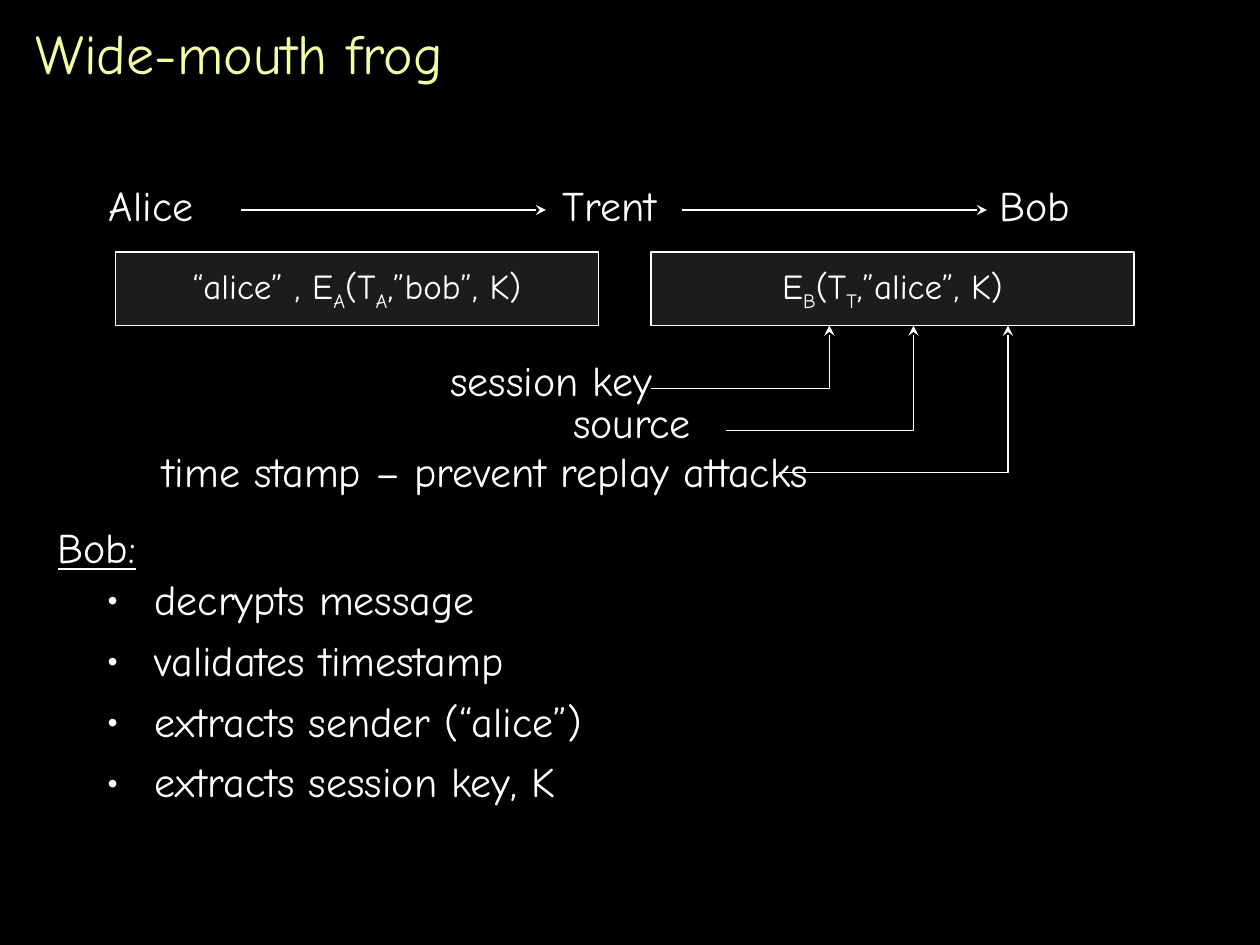
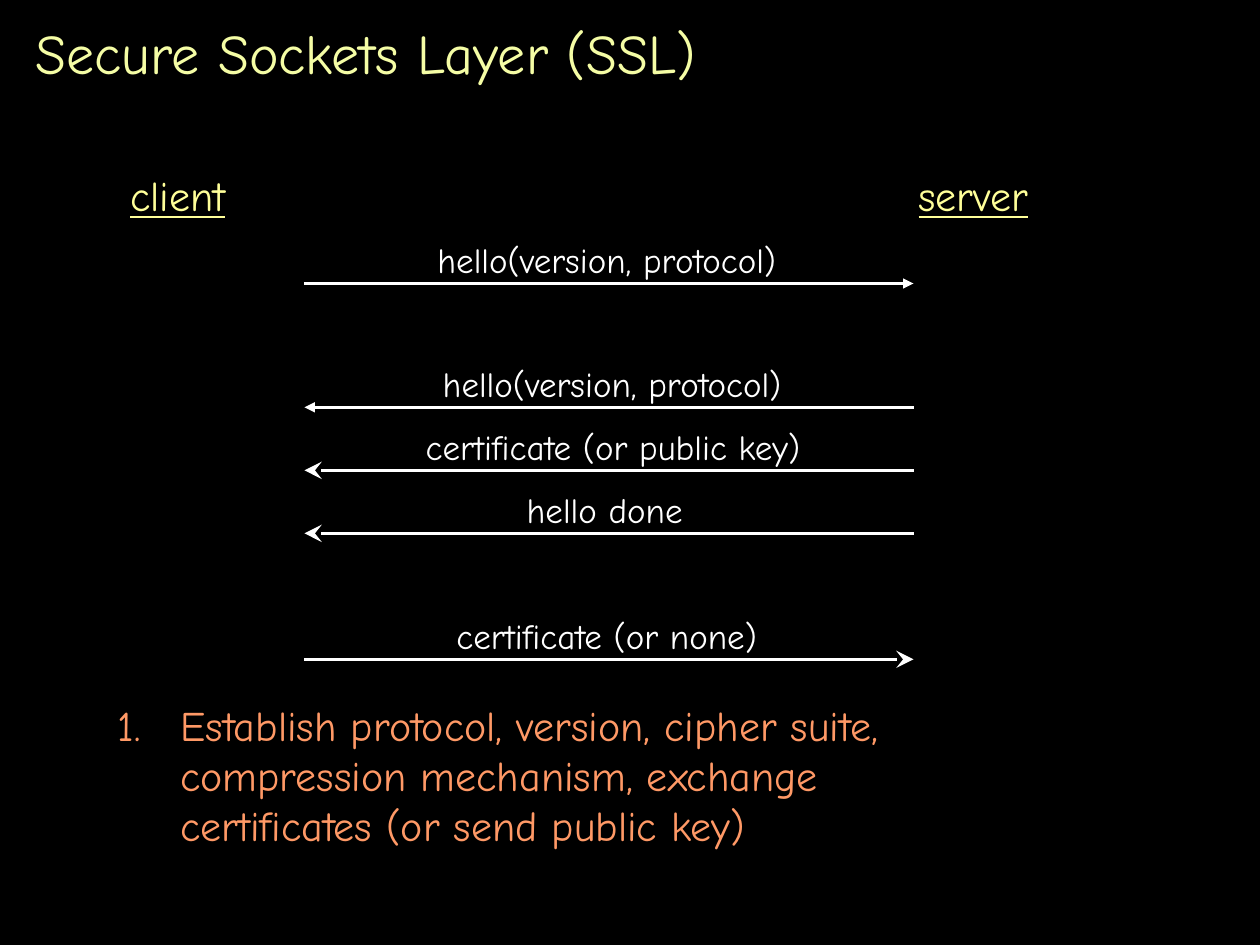
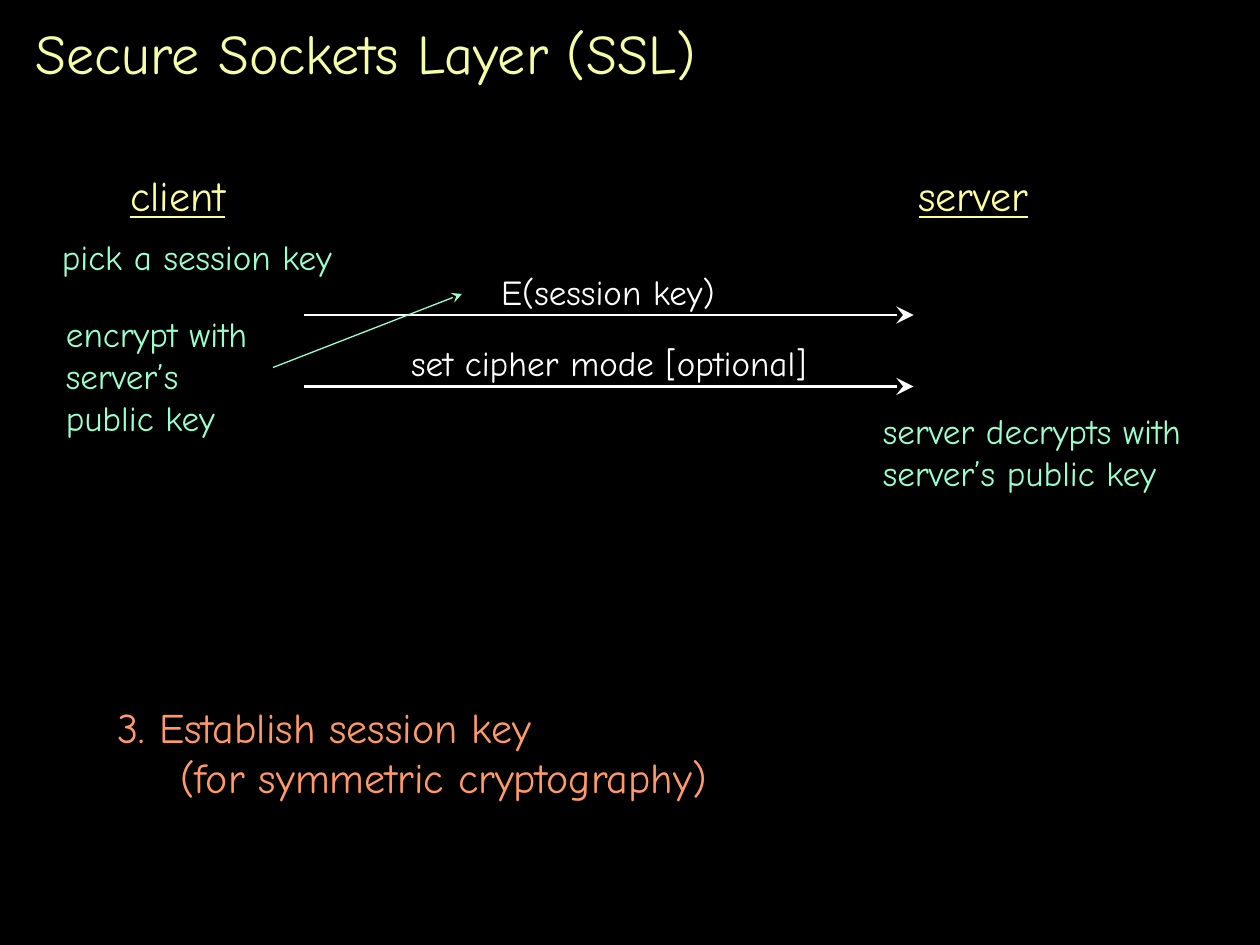
from lxml.etree import SubElement
from pptx import Presentation
from pptx.dml.color import RGBColor
from pptx.enum.shapes import MSO_CONNECTOR, MSO_SHAPE
from pptx.enum.text import MSO_ANCHOR, MSO_AUTO_SIZE, PP_ALIGN
from pptx.oxml.ns import qn
from pptx.util import Inches, Pt

# Shared style
COLORS = {
    "background": "000000",
    "title": "F5FDA5",
    "text": "FFFFFF",
    "role": "FFFF99",
    "stage": "FF9966",
    "note": "99FFCC",
    "packet": "1C1C1C",
}
FONT = "Comic Neue"
TITLE_SIZE, LARGE, SMALL = 32, 24, 20
LEFT, CENTER, RIGHT = PP_ALIGN.LEFT, PP_ALIGN.CENTER, PP_ALIGN.RIGHT

# Grid of 120 columns by 90 rows, 12 cells to the inch
CELL = Inches(1) / 12
CLIENT_EDGE, SERVER_EDGE = 29, 87


def cells(count):
    return round(count * CELL)


def rgb(name):
    return RGBColor.from_string(COLORS[name])


# Text
def add_styled_run(paragraph, text, size, color, underline=False, subscript=False):
    run = paragraph.add_run()
    run.text = text
    run.font.name = FONT
    run.font.size = Pt(size)
    run.font.color.rgb = rgb(color)
    if underline:
        run.font.underline = True
    if subscript:
        run.font._element.set("baseline", "-25000")


def write_lines(paragraph, text, size, color, underline=False):
    for index, line in enumerate(text.split("\n")):
        if index:
            paragraph.add_line_break()
        add_styled_run(paragraph, line, size, color, underline)


def set_indent(paragraph, left, first):
    properties = paragraph._p.get_or_add_pPr()
    properties.set("marL", str(Inches(left)))
    properties.set("indent", str(Inches(first)))
    return properties


def add_marker(paragraph, hang, color, tag, **attributes):
    properties = set_indent(paragraph, hang, -hang)
    marker_color = SubElement(properties, qn("a:buClr"))
    SubElement(marker_color, qn("a:srgbClr"), val=COLORS[color])
    SubElement(properties, qn("a:buFont"), typeface=FONT)
    SubElement(properties, qn(tag), **attributes)


def add_frame(shapes, col, row, width, height, wrap=False):
    frame = shapes.add_textbox(*map(cells, (col, row, width, height))).text_frame
    frame.word_wrap = wrap
    frame.auto_size = MSO_AUTO_SIZE.SHAPE_TO_FIT_TEXT
    return frame


def add_label(shapes, col, row, width, text, size=LARGE, color="text",
              align=LEFT, underline=False):
    line_count = text.count("\n") + 1
    height = 1.2 + line_count * size / 5
    paragraph = add_frame(shapes, col, row, width, height).paragraphs[0]
    paragraph.alignment = align
    write_lines(paragraph, text, size, color, underline)


# Lines and arrows
def style_arrow(shape, color, weight, head, head_size):
    shape.line.color.rgb = rgb(color)
    shape.line.width = Pt(weight)
    SubElement(shape.line._get_or_add_ln(), qn("a:tailEnd"),
               type=head, w=head_size, len=head_size)


def add_arrow(shapes, start, end, color="text", weight=1.5,
              head="stealth", head_size="med"):
    arrow = shapes.add_connector(MSO_CONNECTOR.STRAIGHT, *map(cells, start + end))
    style_arrow(arrow, color, weight, head, head_size)
    SubElement(arrow._element.spPr, qn("a:effectLst"))


def add_elbow(shapes, start_col, row, target_col, target_row):
    outline = shapes.build_freeform(cells(start_col), cells(row))
    corners = [(target_col, row), (target_col, target_row)]
    outline.add_line_segments([(cells(x), cells(y)) for x, y in corners], close=False)
    elbow = outline.convert_to_shape()
    elbow.shadow.inherit = False
    elbow.fill.background()
    style_arrow(elbow, "text", 0.75, "stealth", "med")


# Protocol parts
def add_packet(shapes, col, formula):
    """Text between underscores in the formula is set as a subscript."""
    packet = shapes.add_shape(MSO_SHAPE.RECTANGLE, *map(cells, (col, 24, 46, 7)))
    packet.shadow.inherit = False
    packet.fill.solid()
    packet.fill.fore_color.rgb = rgb("packet")
    packet.line.color.rgb = rgb("text")
    packet.line.width = Pt(0.75)
    frame = packet.text_frame
    frame.word_wrap = False
    frame.vertical_anchor = MSO_ANCHOR.MIDDLE
    paragraph = frame.paragraphs[0]
    paragraph.alignment = CENTER
    for index, part in enumerate(formula.split("_")):
        add_styled_run(paragraph, part, SMALL, "text", subscript=index % 2 == 1)


def add_message(slide, row, text, width, to_server=True, center=57.8,
                head="stealth", head_size="lg"):
    message = slide.shapes.add_group_shape().shapes
    ends = [(CLIENT_EDGE, row), (SERVER_EDGE, row)]
    start, end = ends if to_server else reversed(ends)
    add_arrow(message, start, end, head=head, head_size=head_size)
    add_label(message, center - width / 2, row - 4.85, width, text, SMALL, align=CENTER)


def add_titled_slide(prs, title):
    slide = prs.slides.add_slide(prs.slide_layouts[5])
    heading = slide.shapes.title
    heading.left, heading.top, heading.width, heading.height = map(
        cells, (2.2, 1, 116, 8))
    frame = heading.text_frame
    frame.auto_size = MSO_AUTO_SIZE.NONE
    frame.vertical_anchor = MSO_ANCHOR.MIDDLE
    frame.paragraphs[0].alignment = LEFT
    add_styled_run(frame.paragraphs[0], title, TITLE_SIZE, "title")
    return slide


def add_ssl_slide(prs):
    slide = add_titled_slide(prs, "Secure Sockets Layer (SSL)")
    for col, width, role in [(11.2, 11.9, "client"), (86.3, 13.1, "server")]:
        add_label(slide.shapes, col, 15.55, width, role, color="role", underline=True)
    return slide


# Slides
def build_wide_mouth_frog(prs):
    shapes = add_titled_slide(prs, "Wide-mouth frog").shapes

    # Parties and the packets between them
    for col, width, party in [(9.2, 10.6, "Alice"), (52.4, 11.8, "Trent"),
                              (94, 9.3, "Bob")]:
        add_label(shapes, col, 16.55, width, party)
    for col in (23, 65):
        add_arrow(shapes, (col, 20), (col + 29, 20))
    add_packet(shapes, 11, "“alice” , E_A_(T_A_,”bob”, K)")
    add_packet(shapes, 62, "E_B_(T_T_,”alice”, K)")

    # Explanations of the packet's fields
    fields = [
        ("session key", 41.4, 33.2, 21.9, 62, 79),
        ("source", 53, 37.2, 14, 69.1, 87),
        ("time stamp – prevent replay attacks", 13.6, 41.8, 64.5, 74.2, 96),
    ]
    for index, (field, col, row, width, line_col, target) in enumerate(fields):
        add_elbow(shapes, line_col, 37 + 4 * index, target, 31)
        add_label(shapes, col, row, width, field, align=RIGHT)

    # Bob's steps
    add_label(shapes, 4.3, 49.1, 10.2, "Bob:", underline=True)
    frame = add_frame(shapes, 9, 54, 102, 30, wrap=True)
    frame.auto_size = MSO_AUTO_SIZE.NONE
    steps = ["decrypts message", "validates timestamp",
             "extracts sender (“alice”)", "extracts session key, K"]
    for index, step in enumerate(steps):
        paragraph = frame.add_paragraph() if index else frame.paragraphs[0]
        if index:
            paragraph.space_before = Pt(6)
        add_marker(paragraph, 0.38, "text", "a:buChar", char="•")
        add_styled_run(paragraph, step, LARGE, "text")


def build_ssl_hello(prs):
    slide = add_ssl_slide(prs)
    hello = "hello(version, protocol)"
    add_message(slide, 27, hello, 35.2, head="triangle", head_size="med")
    add_message(slide, 38.8, hello, 35.2, to_server=False, center=58.3,
                head="triangle", head_size="med")
    add_message(slide, 44.8, "certificate (or public key)", 38.6,
                to_server=False, center=58.4)
    add_message(slide, 50.8, "hello done", 17.6, to_server=False, center=57.6)
    add_message(slide, 62.8, "certificate (or none)", 31.4)

    frame = add_frame(slide.shapes, 10, 66, 100, 15.6, wrap=True)
    stage = frame.paragraphs[0]
    add_marker(stage, 0.5, "stage", "a:buAutoNum", type="arabicPeriod")
    write_lines(stage, "Establish protocol, version, cipher suite,\n"
                       "compression mechanism, exchange\n"
                       "certificates (or send public key)", LARGE, "stage")


def build_ssl_session_key(prs):
    slide = add_ssl_slide(prs)
    add_message(slide, 30, "E(session key)", 23.1, center=57.9)
    add_message(slide, 36.8, "set cipher mode [optional]", 40.4, center=58)

    # What each side does
    notes = [
        (4.7, 21.8, 28.5, "pick a session key"),
        (5.1, 29.2, 20, "encrypt with\nserver’s\npublic key"),
        (82.9, 38.4, 31.1, "server decrypts with\nserver’s public key"),
    ]
    for col, row, width, note in notes:
        add_label(slide.shapes, col, row, width, note, SMALL, "note")
    add_arrow(slide.shapes, (26, 35), (44, 28), color="note", weight=0.75)

    # Stage of the handshake
    frame = add_frame(slide.shapes, 10, 66.2, 99, 10.8, wrap=True)
    stage, purpose = frame.paragraphs[0], frame.add_paragraph()
    set_indent(stage, 0.5, -0.5)
    set_indent(purpose, 0.5, 0)
    add_styled_run(stage, "3. Establish session key", LARGE, "stage")
    add_styled_run(purpose, "(for symmetric cryptography)", LARGE, "stage")


def main():
    prs = Presentation()
    prs.slide_width, prs.slide_height = cells(120), cells(90)
    backdrop = prs.slide_master.background.fill
    backdrop.solid()
    backdrop.fore_color.rgb = rgb("background")
    build_wide_mouth_frog(prs)
    build_ssl_hello(prs)
    build_ssl_session_key(prs)
    prs.save("out.pptx")


if __name__ == "__main__":
    main()
